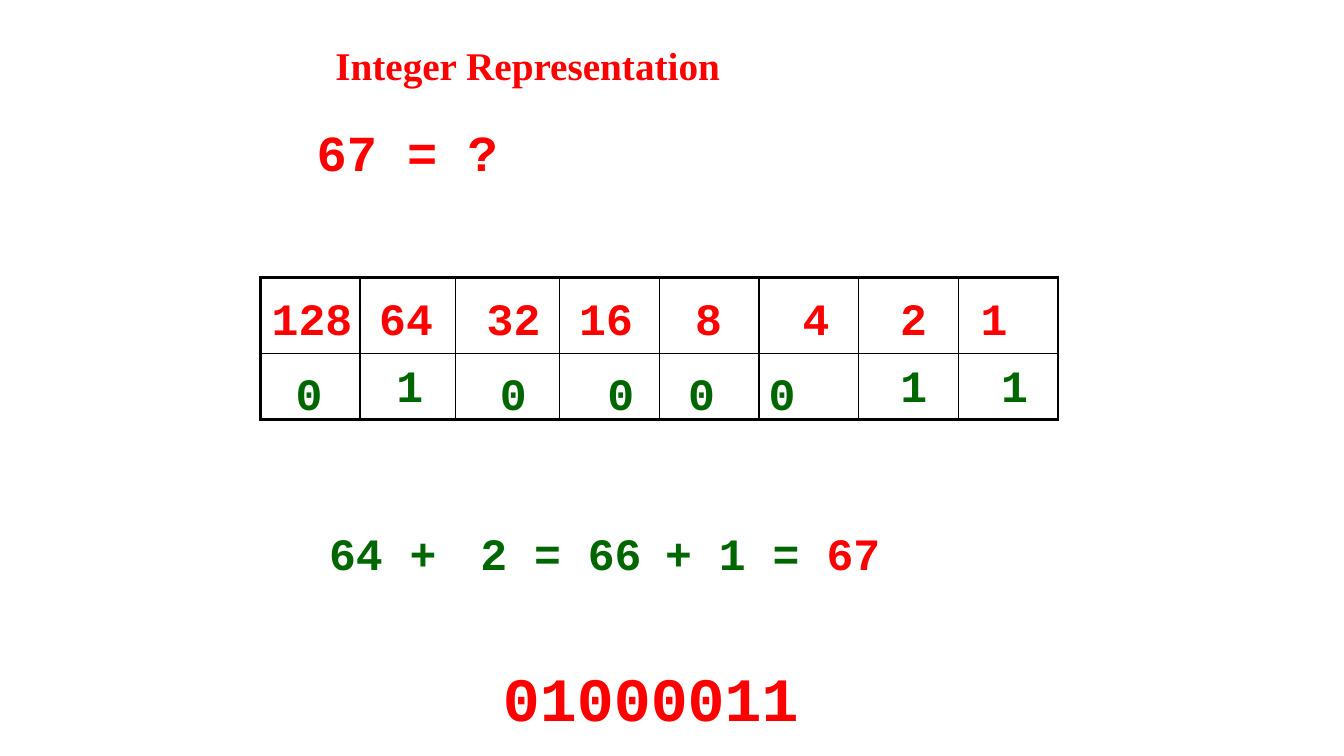
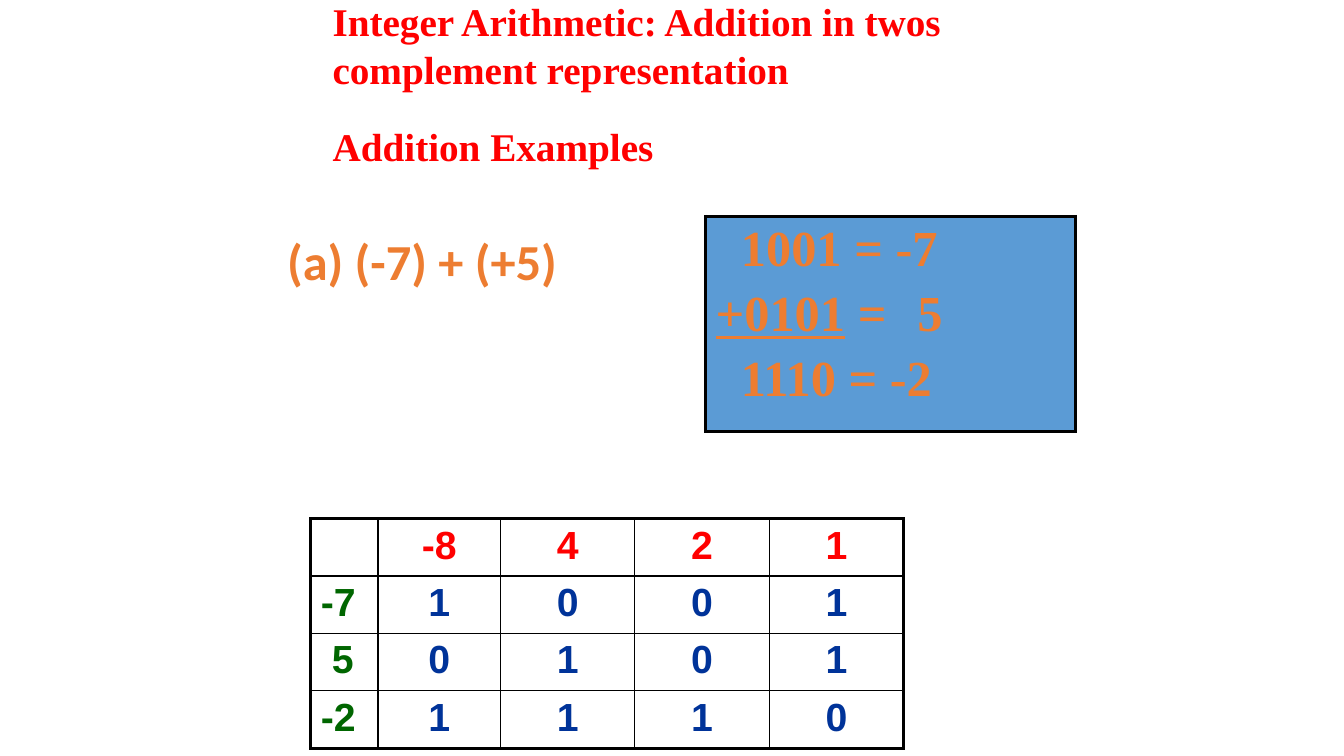
from dataclasses import dataclass
from lxml import etree
from pptx import Presentation
from pptx import util as u
from pptx.dml import color as dml
from pptx.enum import text as txt
from pptx.oxml import ns

Pt = u.Pt
LEFT, MID = txt.PP_ALIGN.LEFT, txt.PP_ALIGN.CENTER


@dataclass(frozen=True)
class Theme:
    red: str = "FF0000"
    green: str = "006600"
    navy: str = "003399"
    orange: str = "ED7D31"
    blue: str = "5B9BD5"
    black: str = "000000"
    serif: str = "Times New Roman"
    mono: str = "Courier New"
    sans: str = "Arial"
    plain: str = "Calibri"
    head: int = 28
    digit: int = 32
    sum: int = 36
    bits: int = 44
    thick: float = 2.25
    thin: float = 1


T = Theme()


def add_run(para, words, face, size, tint, under=False):
    run = para.add_run()
    run.text = words
    font = run.font
    font.name, font.size, font.bold = face, Pt(size), True
    font.underline = under
    font.color.rgb = dml.RGBColor.from_string(tint)


def set_tabs(para, stops):
    tabs = etree.SubElement(para._p.get_or_add_pPr(), ns.qn("a:tabLst"))
    for stop in stops:
        etree.SubElement(tabs, ns.qn("a:tab"), pos=str(Pt(stop)), algn="l")


def add_text(slide, spot, runs, face, size, align=LEFT, wrap=True, pitch=None, stops=()):
    frame = slide.shapes.add_textbox(*map(Pt, spot)).text_frame
    frame.word_wrap = wrap
    para = frame.paragraphs[0]
    para.alignment = align
    if pitch:
        para.line_spacing = Pt(pitch)
    if stops:
        set_tabs(para, stops)
    for words, tint in runs:
        add_run(para, words, face, size, tint)
    return frame


def add_head(slide, left, top, words, high=41):
    add_text(slide, (left, top, 595, high), [(words, T.red)], T.serif, T.head, pitch=34.3)


def add_code(slide, left, top, wide, runs, stops=()):
    add_text(slide, (left, top, wide, 46), runs, T.mono, T.digit, stops=stops)


def add_line(cell, side, width):
    props = cell._tc.get_or_add_tcPr()
    line = etree.SubElement(props, ns.qn("a:ln" + side), w=str(Pt(width)))
    fill = etree.SubElement(line, ns.qn("a:solidFill"))
    etree.SubElement(fill, ns.qn("a:srgbClr"), val=T.black)


def add_grid(slide, left, top, cols, rows, tint=None):
    spot = map(Pt, (left, top, sum(cols), sum(rows)))
    grid = slide.shapes.add_table(len(rows), len(cols), *spot).table
    grid.first_row = grid.horz_banding = False
    for col, wide in zip(grid.columns, cols):
        col.width = Pt(wide)
    for row, high in zip(grid.rows, rows):
        row.height = Pt(high)
    for r in range(len(rows)):
        for c in range(len(cols)):
            cell = grid.cell(r, c)
            edges = {"L": c == 0, "R": c == len(cols) - 1,
                     "T": r == 0, "B": r == len(rows) - 1}
            for side, outer in edges.items():
                add_line(cell, side, T.thick if outer else T.thin)
            if tint:
                cell.fill.solid()
                cell.fill.fore_color.rgb = dml.RGBColor.from_string(tint)
            else:
                cell.fill.background()
    return grid


def set_dent(para, dent):
    props = para._p.get_or_add_pPr()
    props.set("marL", str(Pt(dent)))
    props.set("indent", "0")


def draw_bits(slide):
    add_head(slide, 232.5, 25, "Integer Representation")
    ask = add_text(slide, (219, 75, 594, 66), [("67 = ?", T.red)], T.mono, T.sum)
    ask.vertical_anchor = txt.MSO_ANCHOR.MIDDLE

    add_grid(slide, 186, 198, [71.2, 68.4, 74.2] + [71.2] * 5, [54.7, 47])
    powers = "\t".join(str(2 ** n) for n in range(7, -1, -1))
    add_code(slide, 187, 204, 560, [(powers, T.red)],
             (76.8, 153.6, 219.6, 302.4, 379.2, 448.8, 506.4))
    add_code(slide, 204, 258, 34, [("0", T.green)])
    add_code(slide, 350, 258, 228, [("0\t0\t0\t0", T.green)], (76.8, 134.4, 192))
    for left in (276, 636, 708):
        add_code(slide, left, 252, 34, [("1", T.green)])

    steps = [(228, 108, [("64 +", T.green)]),
             (336, 156, [("2 = 66", T.green)]),
             (468, 216, [("+ 1 = ", T.green), ("67", T.red)])]
    for left, wide, runs in steps:
        add_code(slide, left, 372, wide, runs)
    add_text(slide, (300, 468, 330, 60), [("01000011", T.red)], T.mono, T.bits, MID)


def draw_sum(slide):
    add_head(slide, 230.5, -6.5, "Integer Arithmetic: Addition in twos complement representation", 76)
    add_head(slide, 230.5, 83.5, "Addition Examples")
    add_text(slide, (198, 160.5, 209, 51), [("(a) (-7) + (+5)", T.orange)],
             T.plain, T.sum, wrap=False)

    frame = add_grid(slide, 504, 154.5, [264], [154], T.blue).cell(0, 0).text_frame
    lines = [(18, [("1001 = -7", False)]),
             (0, [("+0101", True), (" =\t5", False)]),
             (18, [("1110 = -2", False)])]
    for i, (dent, runs) in enumerate(lines):
        para = frame.add_paragraph() if i else frame.paragraphs[0]
        set_dent(para, dent)
        if i:
            para.space_before = Pt(6.9)
        if len(runs) > 1:
            set_tabs(para, [135.6])
        for words, under in runs:
            add_run(para, words, T.serif, T.sum, T.orange, under)

    rows = [("", "-8", "4", "2", "1"),
            ("-7", "1", "0", "0", "1"),
            (" 5", "0", "1", "0", "1"),
            ("-2", "1", "1", "1", "0")]
    grid = add_grid(slide, 222, 370.5, [48, 87.5] + [96] * 3, [41] * 4)
    for r, row in enumerate(rows):
        for c, words in enumerate(row):
            if not words:
                continue
            para = grid.cell(r, c).text_frame.paragraphs[0]
            para.alignment = MID if c else LEFT
            tint = T.red if r == 0 else T.navy if c else T.green
            add_run(para, words, T.sans, T.head, tint)


def main():
    deck = Presentation()
    deck.slide_width, deck.slide_height = Pt(960), Pt(540)
    for draw in (draw_bits, draw_sum):
        draw(deck.slides.add_slide(deck.slide_layouts[6]))
    deck.save("out.pptx")


if __name__ == "__main__":
    main()
